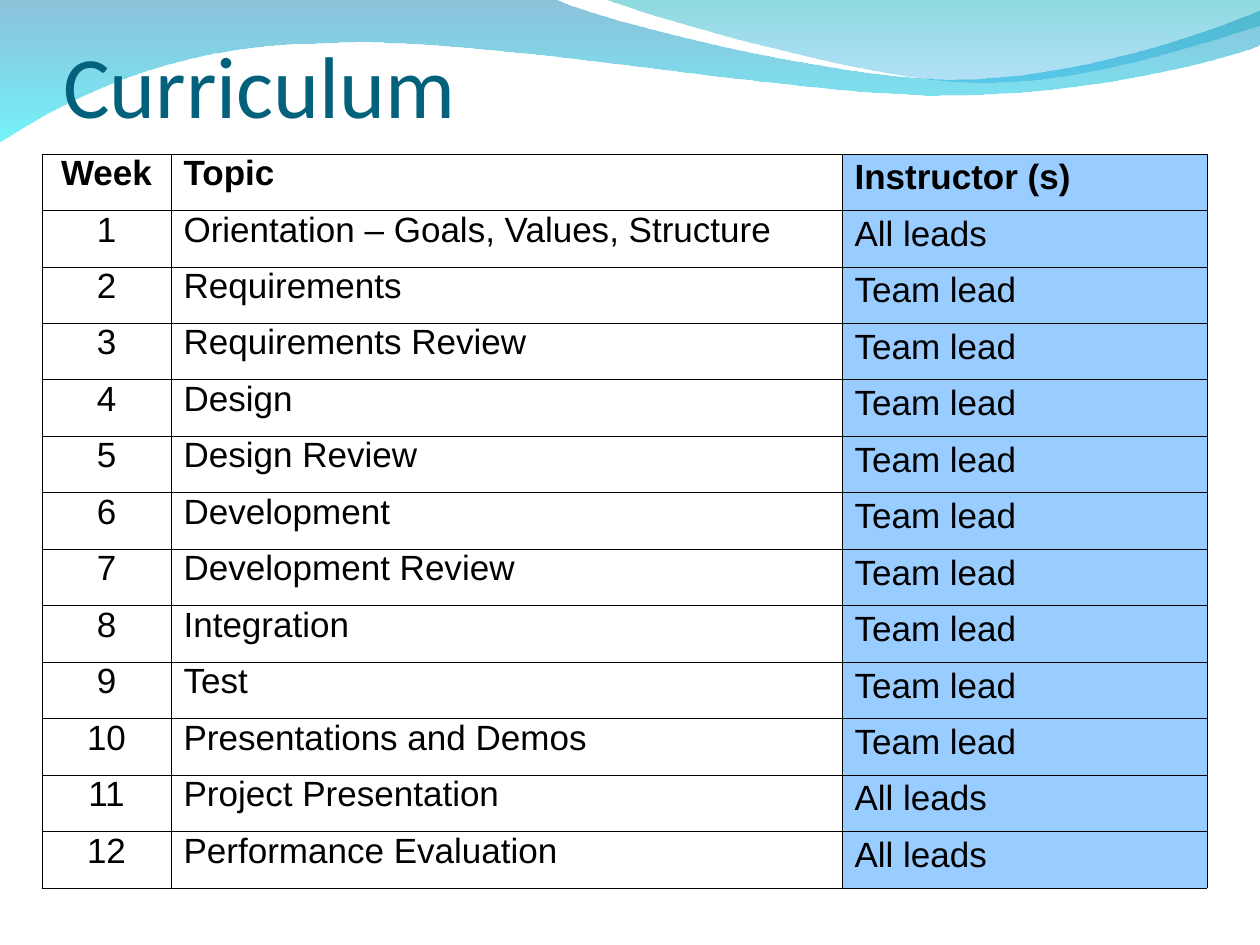
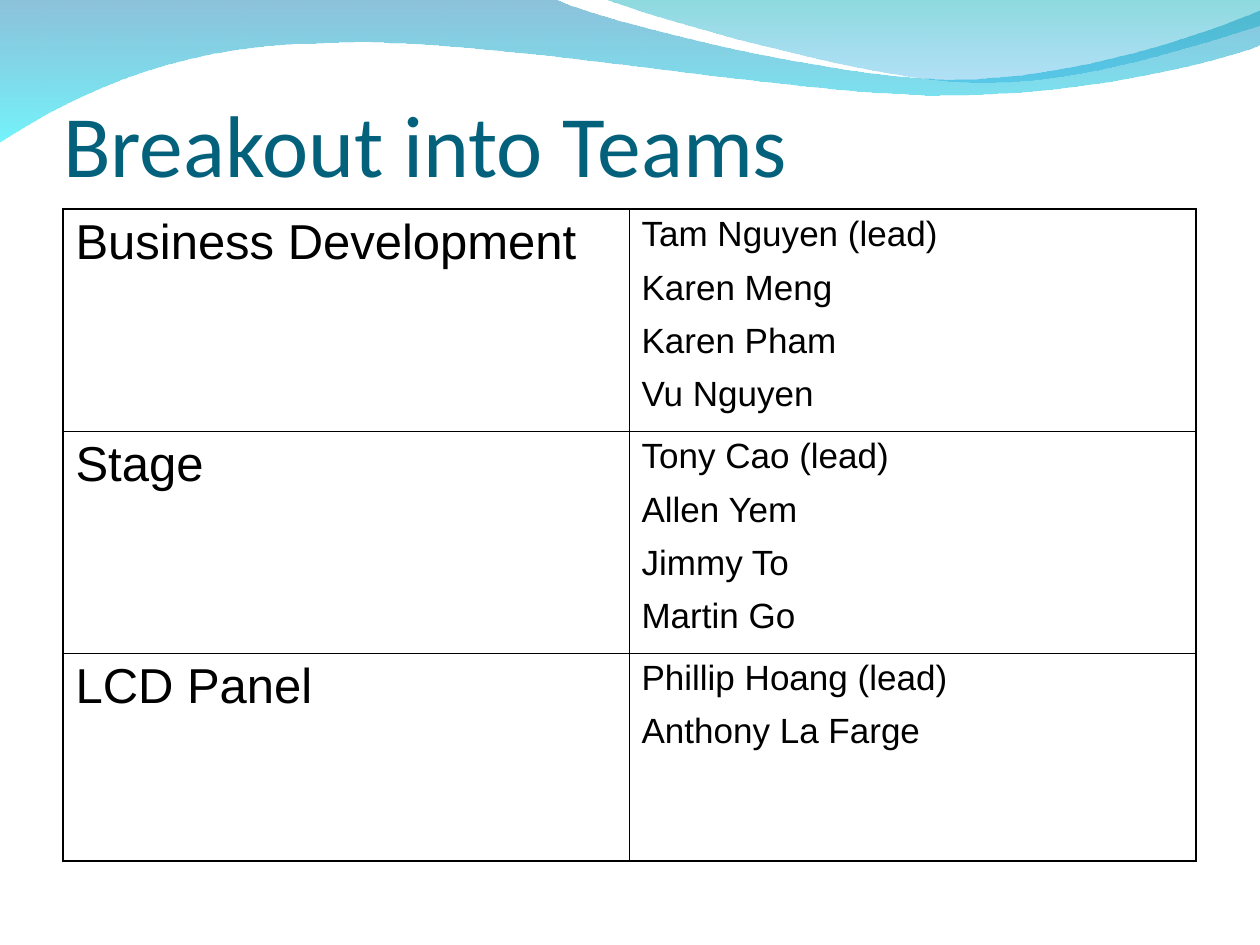
from lxml.etree import SubElement
from pptx import Presentation
from pptx.dml.color import RGBColor
from pptx.enum.text import MSO_ANCHOR, MSO_AUTO_SIZE, PP_ALIGN
from pptx.oxml.ns import qn
from pptx.util import Emu, Pt

EMU_PER_PX = 914400 / 126
BLACK = RGBColor(0x00, 0x00, 0x00)
TITLE_TEAL = RGBColor(0x04, 0x61, 0x7B)
INSTRUCTOR_BLUE = RGBColor(0x99, 0xCC, 0xFF)
DEEP_BLUE = RGBColor(0x00, 0x79, 0xAF)
CYAN = RGBColor(0x00, 0xEB, 0xF8)
SEA_GREEN = RGBColor(0x00, 0xAD, 0xB6)
SKY_BLUE = RGBColor(0x00, 0x9B, 0xE5)
TITLE_FONT, TABLE_FONT = "Calibri", "Arial"
THIN, THICK = 0.45, 1.08

# Each wave: outline segments in px (2 numbers = line, 6 = Bézier curve),
# then gradient stops as colour and opacity in percent
WAVES = [
    ([(0, -1), (554, -1),
      (600, 21, 837, 79, 955, 79), (1075, 79, 1207, 33, 1260, 11),
      (1261, 45),
      (1239, 55, 1096, 96, 940, 95), (784, 95, 481, 35, 324, 43),
      (163, 44, 58, 105, -1, 142)],
     [(DEEP_BLUE, 45), (CYAN, 55)]),
    ([(604, -1),
      (641, 14, 859, 78, 969, 82), (1079, 87, 1211, 40, 1260, 26),
      (1260, 0)],
     [(SEA_GREEN, 45), (SKY_BLUE, 30)]),
]

TOPICS = [
    "Orientation – Goals, Values, Structure", "Requirements",
    "Requirements Review", "Design", "Design Review", "Development",
    "Development Review", "Integration", "Test", "Presentations and Demos",
    "Project Presentation", "Performance Evaluation",
]
ALL_LEADS_WEEKS = (1, 11, 12)

TEAMS = [
    ("Business Development",
     ["Tam Nguyen (lead)", "Karen Meng", "Karen Pham", "Vu Nguyen"]),
    ("Stage", ["Tony Cao (lead)", "Allen Yem", "Jimmy To", "Martin Go"]),
    ("LCD Panel", ["Phillip Hoang (lead)", "Anthony La Farge"]),
]


def px(length):
    return Emu(round(length * EMU_PER_PX))


class Deck:
    def __init__(self):
        self.prs = Presentation()
        self.prs.slide_width, self.prs.slide_height = px(1260), px(945)
        self.slide = None

    def add_slide(self):
        self.slide = self.prs.slides.add_slide(self.prs.slide_layouts[5])

    def master_wave(self, position, segments, stops):
        """Draw a wave and move it behind everything on the master."""
        start, *points = [(px(x), px(y)) for segment in segments
                          for x, y in zip(segment[::2], segment[1::2])]
        builder = self.slide.shapes.build_freeform(*start)
        builder.add_line_segments(points, close=True)
        wave = builder.convert_to_shape()
        self.bend(wave, segments[1:])
        wave.shadow.inherit = False
        wave.line.fill.background()
        wave.fill.gradient()
        wave.fill.gradient_angle = 270
        for stop, (color, opacity) in zip(wave.fill.gradient_stops, stops):
            stop.color.rgb = color
        for tint, (color, opacity) in zip(wave.element.iter(qn("a:srgbClr")), stops):
            SubElement(tint, qn("a:alpha"), val=str(opacity * 1000))
        wave.element.nvSpPr.cNvPr.set("id", str(20 + position))
        self.prs.slide_master.shapes.element.insert(2 + position, wave.element)

    def bend(self, wave, segments):
        """Join the three straight steps of each Bézier segment into one curve."""
        steps = iter(list(wave.element.iter(qn("a:lnTo"))))
        for segment in segments:
            curve = next(steps)
            if len(segment) == 6:
                curve.tag = qn("a:cubicBezTo")
                for extra in (next(steps), next(steps)):
                    curve.append(extra[0])
                    extra.getparent().remove(extra)

    def run(self, paragraph, text, size, font, color, bold=False):
        run = paragraph.add_run()
        run.text = text
        run.font.size, run.font.name, run.font.bold = Pt(size), font, bold
        run.font.color.rgb = color

    def title(self, text, left, top, width, height):
        title = self.slide.shapes.title
        title.left, title.top = px(left), px(top)
        title.width, title.height = px(width), px(height)
        frame = title.text_frame
        frame.word_wrap, frame.auto_size = True, MSO_AUTO_SIZE.NONE
        frame.vertical_anchor = MSO_ANCHOR.BOTTOM
        frame.margin_left = frame.margin_right = frame.margin_bottom = 0
        frame.margin_top = px(6)
        frame.paragraphs[0].alignment = PP_ALIGN.LEFT
        self.run(frame.paragraphs[0], text, 50, TITLE_FONT, TITLE_TEAL)

    def table(self, left, top, widths, heights, outer=THIN):
        """Add an unfilled grid with thin inner lines and the given outer line."""
        table = self.slide.shapes.add_table(
            len(heights), len(widths), px(left), px(top),
            px(sum(widths)), px(sum(heights))).table
        table.first_row = table.horz_banding = False
        for column, width in zip(table.columns, widths):
            column.width = px(width)
        for row, height in zip(table.rows, heights):
            row.height = px(height)
        last_row, last_column = len(heights) - 1, len(widths) - 1
        for r in range(len(heights)):
            for c in range(len(widths)):
                cell = table.cell(r, c)
                on_edge = {"L": c == 0, "R": c == last_column,
                           "T": r == 0, "B": r == last_row}
                for side, is_outer in on_edge.items():
                    self.border(cell, side, outer if is_outer else THIN)
                cell.fill.background()
        return table

    def border(self, cell, side, width):
        line = SubElement(cell._tc.get_or_add_tcPr(), qn(f"a:ln{side}"), w=str(Pt(width)))
        fill = SubElement(line, qn("a:solidFill"))
        SubElement(fill, qn("a:srgbClr"), val=str(BLACK))

    def cell_text(self, cell, lines, size=20, bold=False, align=PP_ALIGN.LEFT,
                  spacing=None, fill=None):
        for i, text in enumerate(lines):
            frame = cell.text_frame
            paragraph = frame.add_paragraph() if i else frame.paragraphs[0]
            paragraph.alignment, paragraph.line_spacing = align, spacing
            paragraph.space_before = Pt(8 if i else 0)
            self.run(paragraph, text, size, TABLE_FONT, BLACK, bold)
        if fill:
            cell.fill.solid()
            cell.fill.fore_color.rgb = fill


def curriculum_slide(deck):
    deck.title("Curriculum", 63, 38, 1134, 98)
    rows = [("Week", "Topic", "Instructor (s)")]
    for week, topic in enumerate(TOPICS, 1):
        lead = "All leads" if week in ALL_LEADS_WEEKS else "Team lead"
        rows.append((str(week), topic, lead))
    schedule = deck.table(42, 154, [129, 671, 365], [734 / len(rows)] * len(rows))
    column_styles = [
        {"align": PP_ALIGN.CENTER, "spacing": 0.81},
        {"spacing": 0.81},
        {"spacing": 0.95, "fill": INSTRUCTOR_BLUE},
    ]
    for r, row in enumerate(rows):
        for c, (text, style) in enumerate(zip(row, column_styles)):
            deck.cell_text(schedule.cell(r, c), [text], bold=r == 0, **style)


def teams_slide(deck):
    deck.title("Breakout into Teams", 63, 38, 1133, 157)
    roster = deck.table(63, 209, [566, 567], [222, 222, 208], outer=THICK)
    for r, (team, members) in enumerate(TEAMS):
        deck.cell_text(roster.cell(r, 0), [team], size=28)
        deck.cell_text(roster.cell(r, 1), members)


def main():
    deck = Deck()
    deck.add_slide()
    # Shared wave header
    for position, (segments, stops) in enumerate(WAVES):
        deck.master_wave(position, segments, stops)
    curriculum_slide(deck)
    deck.add_slide()
    teams_slide(deck)
    deck.prs.save("out.pptx")


if __name__ == "__main__":
    main()
